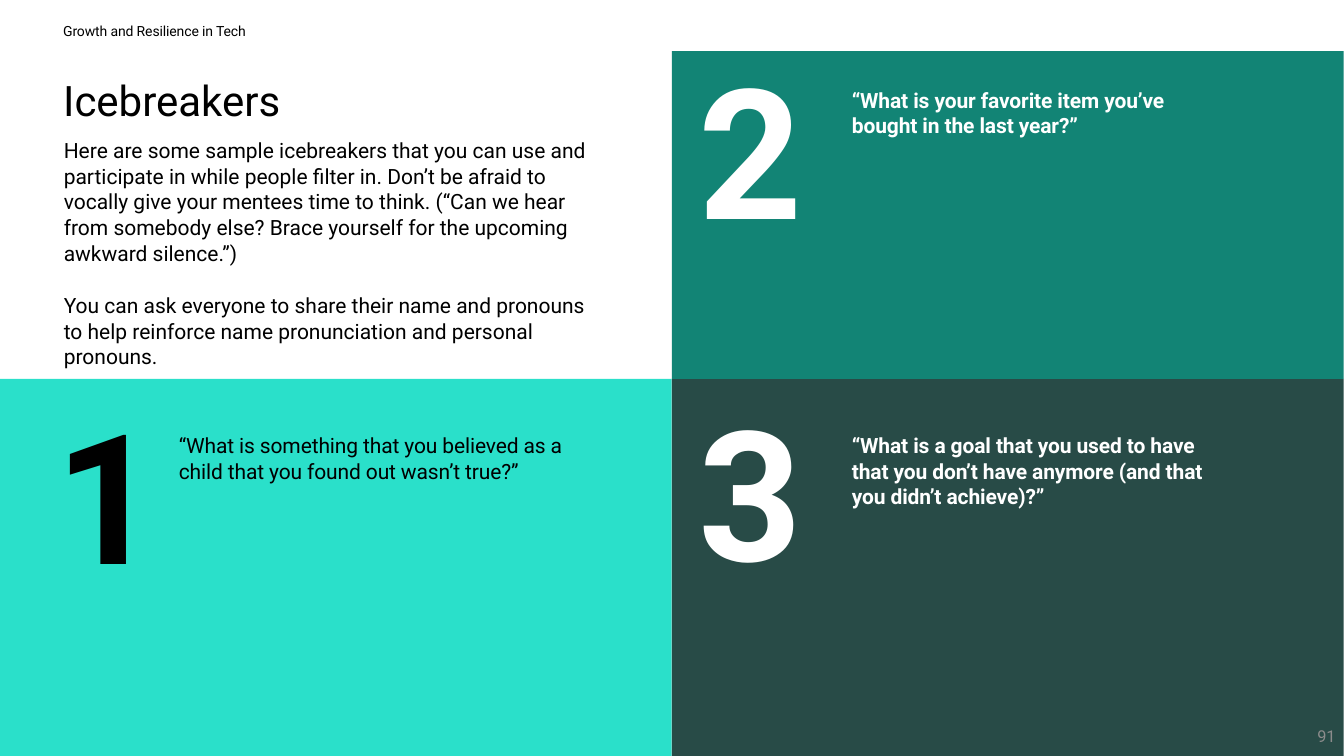
from dataclasses import dataclass

from pptx import Presentation
from pptx import util as u
from pptx.dml import color as c
from pptx.enum import shapes, text
from pptx.slide import Slide

Box = tuple[float, float, float, float]


@dataclass(frozen=True)
class Theme:
    font: str = "Roboto"
    black: str = "000000"
    white: str = "FFFFFF"
    grey: str = "8C8C8C"
    aqua: str = "2AE0CA"
    green: str = "128475"
    slate: str = "284B47"
    title: float = 36
    body: float = 18
    digit: float = 155.5
    head: float = 12
    page: float = 14


@dataclass(frozen=True)
class Card:
    panel: Box
    fill: str
    ink: str
    digit: str
    spot: Box
    ask: str
    area: Box
    right: float
    bold: bool


T = Theme()
WIDE, HIGH = 40.64, 22.86
MID, TOP, SPLIT = WIDE / 2, 1.55, 11.46
SIDE = MID - 0.01
INSET = 0.79  # left indent of running text

CARDS = [
    Card((0, SPLIT, SIDE, HIGH - SPLIT), T.aqua, T.black,
         "1", (1.65, 11.53, 2.29, 6.65),
         "“What is something that you believed as a child that you found out wasn’t true?”",
         (4.62, 13.03, 17.15, 1.55), 3.8, False),
    Card((MID, SPLIT, SIDE, HIGH - SPLIT), T.slate, T.white,
         "3", (21.08, 11.43, 3.12, 6.65),
         "“What is a goal that you used to have that you don’t have anymore "
         "(and that you didn’t achieve)?”",
         (24.97, 13.03, 13.82, 2.34), 1.96, True),
    Card((MID, TOP, SIDE, SPLIT - TOP), T.green, T.white,
         "2", (21.08, 1.09, 3.12, 6.65),
         "“What is your favorite item you’ve bought in the last year?”",
         (24.97, 2.59, 13.82, 1.55), 1.96, True),
]

INTRO = [
    "Here are some sample icebreakers that you can use and participate in while "
    "people filter in. Don’t be afraid to vocally give your mentees time to think. "
    "(“Can we hear from somebody else? Brace yourself for the upcoming awkward silence.”)",
    "You can ask everyone to share their name and pronouns to help reinforce "
    "name pronunciation and personal pronouns.",
]


def write(page: Slide, box: Box, *lines: str, size: float, ink: str = T.black,
          bold: bool = False, left: float = 0.03, right: float = 0,
          lead: float = 1, gap: float = 0, track: float = 0, inset: float = 0.03) -> text:
    """Add a text box with one paragraph per line."""
    frame = page.shapes.add_textbox(*map(u.Cm, box)).text_frame
    frame.word_wrap = True
    frame.auto_size = text.MSO_AUTO_SIZE.SHAPE_TO_FIT_TEXT
    frame.margin_left = frame.margin_right = frame.margin_bottom = 0
    frame.margin_top = u.Cm(inset)
    for i, line in enumerate(lines):
        para = frame.paragraphs[0] if i == 0 else frame.add_paragraph()
        props = para._p.get_or_add_pPr()
        props.set("marL", str(u.Cm(left)))
        props.set("marR", str(u.Cm(right)))
        para.line_spacing = lead
        if i:
            para.space_before = u.Pt(gap)
        run = para.add_run()
        run.text = line
        font = run.font
        font.name, font.size, font.bold = T.font, u.Pt(size), bold
        font.color.rgb = c.RGBColor.from_string(ink)
        if track:
            run._r.get_or_add_rPr().set("spc", str(round(track * 100)))
    return frame


def draw(page: Slide, card: Card) -> None:
    """Add a coloured panel with its number and question."""
    rect = page.shapes.add_shape(shapes.MSO_SHAPE.RECTANGLE, *map(u.Cm, card.panel))
    rect.shadow.inherit = False
    rect.fill.solid()
    rect.fill.fore_color.rgb = c.RGBColor.from_string(card.fill)
    rect.line.fill.background()
    write(page, card.spot, card.digit, size=T.digit, ink=card.ink, bold=True, inset=0.05)
    write(page, card.area, card.ask, size=T.body, ink=card.ink, bold=card.bold,
          left=INSET, right=card.right, lead=1.02, track=-0.1)


def main() -> None:
    deck = Presentation()
    deck.slide_width, deck.slide_height = u.Cm(WIDE), u.Cm(HIGH)
    page = deck.slides.add_slide(deck.slide_layouts[6])

    # Question panels
    for card in CARDS:
        draw(page, card)

    # Header, title and introduction
    write(page, (1.88, 0.64, 5.72, 0.56), "Growth and Resilience in Tech",
          size=T.head, track=-0.1)
    write(page, (1.88, 2.21, 8.61, 1.57), "Icebreakers", size=T.title)
    write(page, (1.14, 4.11, 20.32, 7.11), *INTRO, size=T.body,
          left=INSET, right=3.43, lead=1.02, gap=22.7)

    # Page number
    frame = write(page, (31.5, 21.64, 9.14, 1.22), "91", size=T.page, ink=T.grey,
                  left=0, right=0.25)
    frame.auto_size = text.MSO_AUTO_SIZE.NONE
    frame.vertical_anchor = text.MSO_ANCHOR.MIDDLE
    frame.paragraphs[0].alignment = text.PP_ALIGN.RIGHT

    deck.save("out.pptx")


if __name__ == "__main__":
    main()
